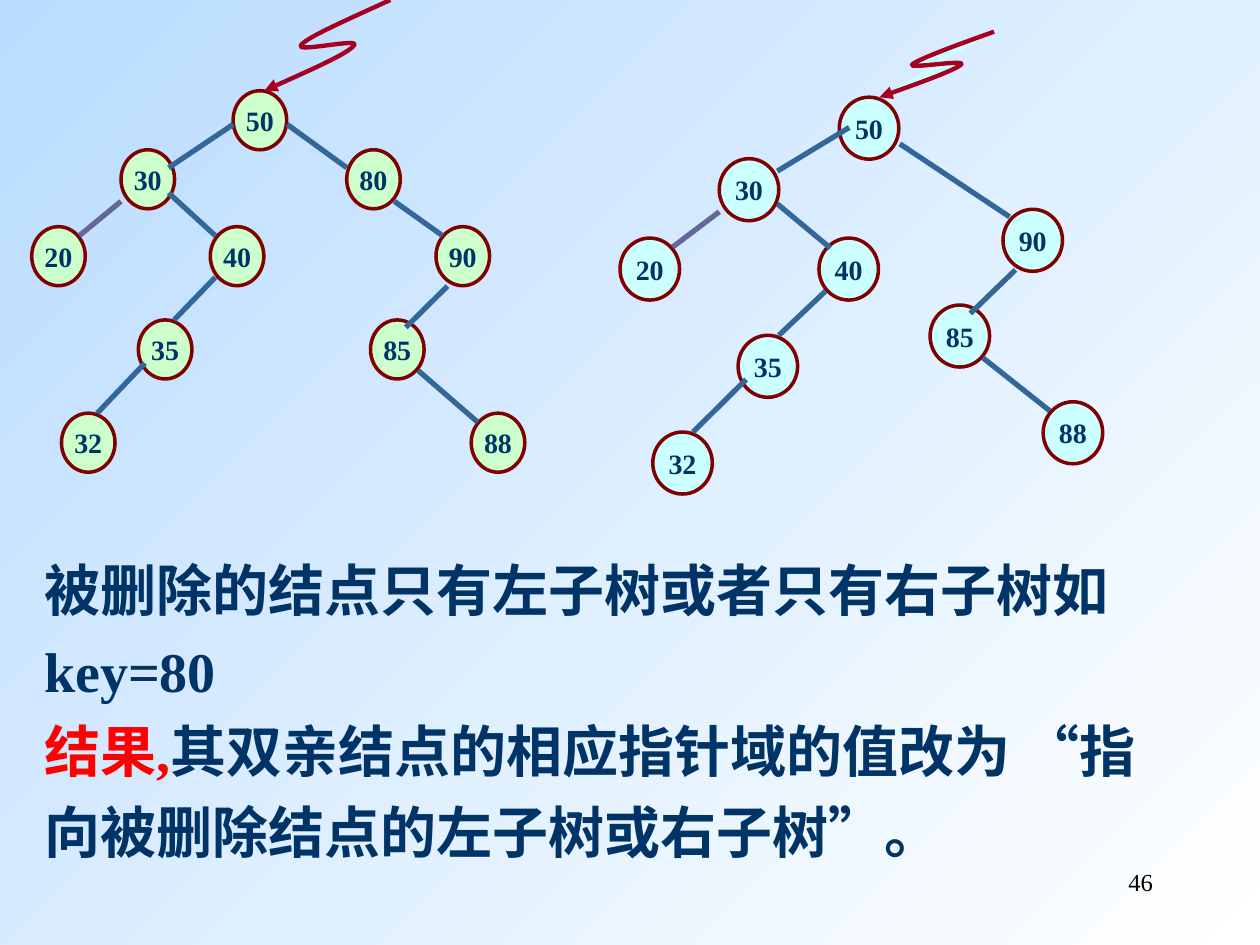
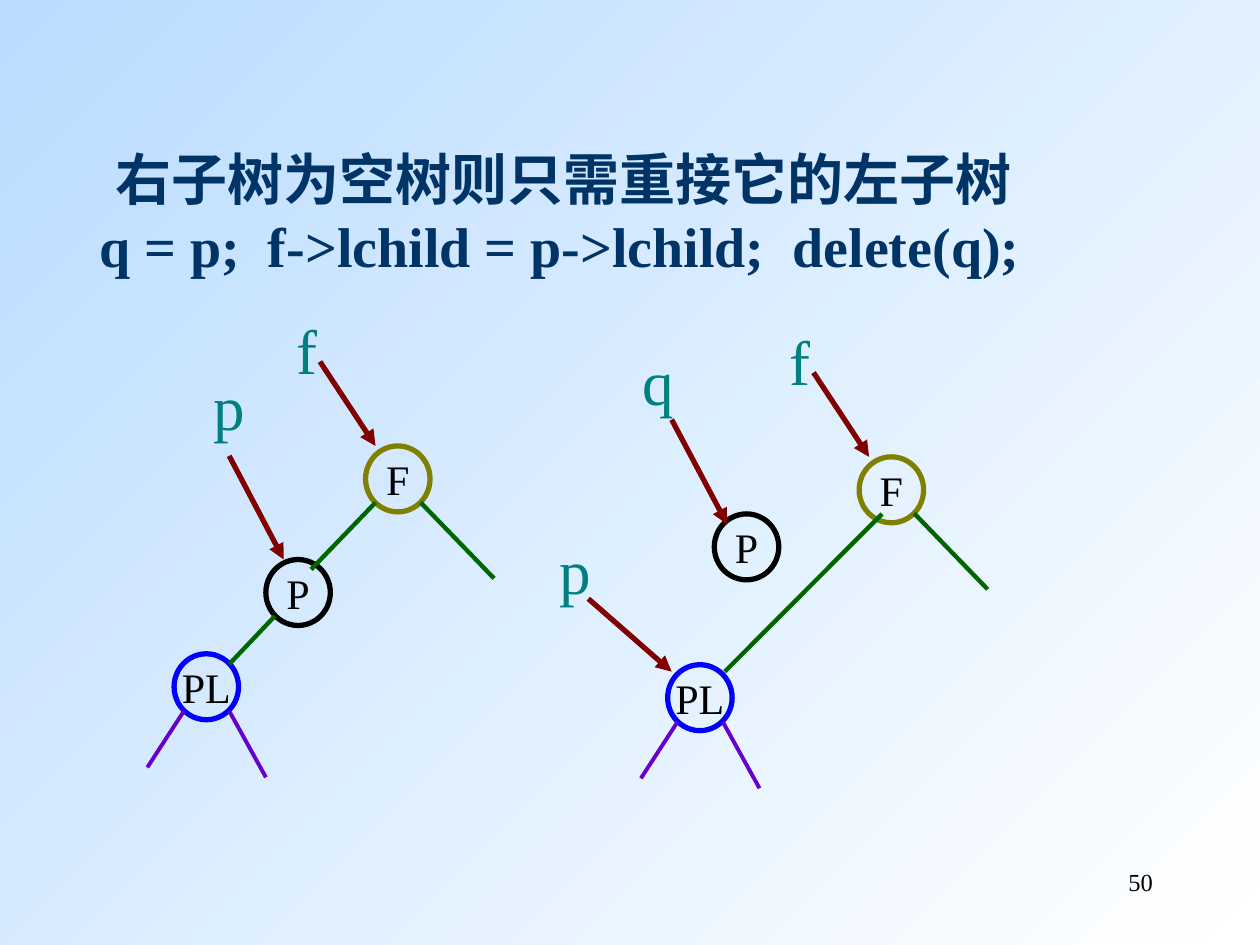
from dataclasses import dataclass
from typing import NamedTuple

import lxml.etree
import pptx
import pptx.dml.color
import pptx.enum.shapes
import pptx.enum.text
import pptx.oxml.ns
import pptx.util

Cm = pptx.util.Cm
Pt = pptx.util.Pt
qn = pptx.oxml.ns.qn
PP_ALIGN = pptx.enum.text.PP_ALIGN


@dataclass(frozen=True)
class Theme:
    font: str = "Times New Roman"
    bg_start: str = "B9DCFF"
    bg_end: str = "FFFFFF"
    navy: str = "003366"
    red: str = "FF0000"
    black: str = "000000"
    teal: str = "008080"
    maroon: str = "800000"
    crimson: str = "A50021"
    edge: str = "336699"
    edge_alt: str = "666699"
    green_fill: str = "CCFFCC"
    cyan_fill: str = "CCFFFF"
    olive: str = "808000"
    blue: str = "0000FF"
    branch: str = "006600"
    child: str = "6600CC"
    body: int = 32
    pointer: int = 36
    letter: int = 24
    key: int = 16
    number: int = 14


T = Theme()


class Point(NamedTuple):
    x: float
    y: float


class Edge(NamedTuple):
    x1: float
    y1: float
    x2: float
    y2: float
    color: str = T.edge


class Box(NamedTuple):
    x: float
    y: float
    w: float
    h: float


@dataclass(frozen=True)
class Tree:
    fill: str
    node_size: tuple[float, float]
    nodes: dict[str, Point]
    edges: list[Edge]
    squiggle: list[Point]
    squiggle_fill: str | None = None


BEFORE = Tree(
    fill=T.green_fill,
    node_size=(1.08, 1.19),
    nodes={
        "50": Point(4.7, 1.83), "30": Point(2.44, 3.02), "80": Point(6.99, 3.02),
        "20": Point(0.64, 4.57), "40": Point(4.24, 4.57), "90": Point(8.79, 4.57),
        "35": Point(2.79, 6.45), "85": Point(7.47, 6.45),
        "32": Point(1.24, 8.33), "88": Point(9.5, 8.33),
    },
    edges=[
        Edge(4.7, 2.51, 3.4, 3.38), Edge(5.79, 2.51, 6.99, 3.38),
        Edge(2.44, 4.06, 1.6, 4.75, T.edge_alt), Edge(3.4, 3.89, 4.34, 4.75),
        Edge(7.95, 4.06, 8.92, 4.75), Edge(4.34, 5.59, 3.51, 6.45),
        Edge(9.02, 5.77, 8.18, 6.6), Edge(2.92, 7.32, 1.96, 8.33),
        Edge(8.43, 7.47, 9.63, 8.51),
    ],
    squiggle=[
        Point(7.87, 0), Point(7.04, 0.38), Point(6.17, 0.76), Point(6.07, 0.91),
        Point(5.94, 1.07), Point(7.26, 0.76), Point(7.14, 0.91),
        Point(7.04, 1.07), Point(6.17, 1.45), Point(5.33, 1.83),
    ],
)

AFTER = Tree(
    fill=T.cyan_fill,
    node_size=(1.2, 1.25),
    nodes={
        "50": Point(16.92, 1.96), "30": Point(14.5, 3.2), "90": Point(20.22, 4.22),
        "20": Point(12.5, 4.8), "40": Point(16.51, 4.8), "85": Point(18.75, 6.15),
        "35": Point(14.88, 6.76), "88": Point(21.03, 8.1), "32": Point(13.16, 8.71),
    },
    edges=[
        Edge(17.12, 2.57, 15.67, 3.45), Edge(18.14, 2.9, 20.35, 4.37),
        Edge(14.5, 4.27, 13.56, 4.98, T.edge_alt), Edge(15.67, 4.11, 16.74, 5),
        Edge(20.47, 5.44, 19.56, 6.32), Edge(16.64, 5.87, 15.7, 6.76),
        Edge(19.81, 7.21, 21.16, 8.28), Edge(15.04, 7.65, 13.97, 8.71),
    ],
    squiggle=[
        Point(20.04, 0.64), Point(19.28, 0.91), Point(18.52, 1.19), Point(18.39, 1.3),
        Point(18.29, 1.4), Point(19.48, 1.19), Point(19.38, 1.3),
        Point(19.28, 1.4), Point(18.52, 1.68), Point(17.73, 1.96),
    ],
    squiggle_fill=T.cyan_fill,
)


def rgb(color: str) -> pptx.dml.color.RGBColor:
    return pptx.dml.color.RGBColor.from_string(color)


def set_font(font, size: int, color: str, bold: bool = False) -> None:
    font.name = T.font
    font.size = Pt(size)
    font.bold = bold
    font.color.rgb = rgb(color)


def set_outline(shape, color: str, width: float, arrow: bool = False) -> None:
    shape.line.color.rgb = rgb(color)
    shape.line.width = Pt(width)
    if arrow:
        ln = shape._element.spPr.find(qn("a:ln"))
        lxml.etree.SubElement(ln, qn("a:tailEnd"), type="triangle")


def set_fill(shape, color: str | None) -> None:
    if color:
        shape.fill.solid()
        shape.fill.fore_color.rgb = rgb(color)
    else:
        shape.fill.background()


def add_line(s, edge: Edge, width: float, arrow: bool = False) -> None:
    cxn = s.shapes.add_connector(
        pptx.enum.shapes.MSO_CONNECTOR.STRAIGHT, *(Cm(v) for v in edge[:4]))
    set_outline(cxn, edge.color, width, arrow)
    lxml.etree.SubElement(cxn._element.spPr, qn("a:effectLst"))


def add_node(s, box: Box, label: str, size: int, color: str, line: str,
             width: float, fill: str | None = None, bold: bool = False) -> None:
    sp = s.shapes.add_shape(
        pptx.enum.shapes.MSO_SHAPE.OVAL, *(Cm(v) for v in box))
    sp.shadow.inherit = False
    set_fill(sp, fill)
    set_outline(sp, line, width)
    tf = sp.text_frame
    tf.word_wrap = False
    tf.vertical_anchor = pptx.enum.text.MSO_ANCHOR.MIDDLE
    p = tf.paragraphs[0]
    p.text = label
    p.alignment = PP_ALIGN.CENTER
    set_font(p.font, size, color, bold)


def add_text_frame(s, box: Box, wrap: bool = True):
    tf = s.shapes.add_textbox(*(Cm(v) for v in box)).text_frame
    tf.word_wrap = wrap
    return tf


def add_squiggle(s, points: list[Point], fill: str | None) -> None:
    """Draw a cubic Bezier arrow; after the start, points come in threes."""
    scaled = [(Cm(pt.x), Cm(pt.y)) for pt in points]
    builder = s.shapes.build_freeform(*scaled[0])
    builder.add_line_segments(scaled[1:], close=False)
    sp = builder.convert_to_shape()
    outline = next(sp._element.iter(qn("a:path")))
    segments = outline.findall(qn("a:lnTo"))
    for i in range(0, len(segments), 3):
        curve = lxml.etree.SubElement(outline, qn("a:cubicBezTo"))
        for segment in segments[i:i + 3]:
            curve.append(segment[0])
            outline.remove(segment)
    sp.shadow.inherit = False
    set_fill(sp, fill)
    set_outline(sp, T.crimson, 2.5, arrow=True)


def draw_tree(s, tree: Tree) -> None:
    for key, pt in tree.nodes.items():
        add_node(s, Box(*pt, *tree.node_size), key, T.key, T.navy,
                 T.maroon, 2, tree.fill, bold=True)
    for edge in tree.edges:
        add_line(s, edge, 3)
    add_squiggle(s, tree.squiggle, tree.squiggle_fill)


def add_letter_node(s, x: float, y: float, label: str, line: str) -> None:
    add_node(s, Box(x, y, 1.3, 1.33), label, T.letter, T.black, line, 3)


def add_pointer(s, name: str, label_at: Point, arrow: Edge) -> None:
    """Draw a pointer variable's name and its arrow."""
    p = add_text_frame(s, Box(*label_at, 1.14, 1.78), wrap=False).paragraphs[0]
    p.text = name
    set_font(p.font, T.pointer, T.teal)
    add_line(s, arrow, 3, arrow=True)


def draw_family(s, dx: float, dy: float) -> None:
    """Draw what both states share: F, PL, their open branches and pointer f."""
    def moved(x1: float, y1: float, x2: float, y2: float, color: str) -> Edge:
        return Edge(x1 + dx, y1 + dy, x2 + dx, y2 + dy, color)

    add_letter_node(s, 7.37 + dx, 8.99 + dy, "F", T.olive)
    add_letter_node(s, 3.51 + dx, 13.18 + dy, "PL", T.blue)
    add_line(s, moved(3.71, 14.33, 2.97, 15.47, T.child), 2.25)
    add_line(s, moved(4.62, 14.33, 5.36, 15.67, T.child), 2.25)
    add_line(s, moved(8.48, 10.13, 9.96, 11.66, T.branch), 2.5)
    add_pointer(s, "f", Point(5.72 + dx, 6.15 + dy),
                moved(6.45, 7.29, 7.57, 8.99, T.maroon))


def add_slide(prs, number: str):
    s = prs.slides.add_slide(prs.slide_layouts[6])
    p = add_text_frame(s, Box(18.21, 17.35, 5.28, 1.27)).paragraphs[0]
    p.text = number
    p.alignment = PP_ALIGN.RIGHT
    set_font(p.font, T.number, T.black)
    return s


def set_background(prs) -> None:
    fill = prs.slide_master.background.fill
    fill.gradient()
    fill.gradient_angle = 315
    for stop, color in zip(fill.gradient_stops, (T.bg_start, T.bg_end)):
        stop.color.rgb = rgb(color)


def build_single_subtree_slide(prs) -> None:
    s = add_slide(prs, "46")
    tf = add_text_frame(s, Box(0.64, 10.8, 23.5, 6.76))
    p = tf.paragraphs[0]
    p.text = "被删除的结点只有左子树或者只有右子树如key=80"
    p.line_spacing = 1.2
    set_font(p.font, T.body, T.navy, bold=True)
    p = tf.add_paragraph()
    p.line_spacing = 1.2
    for text, color in (
        ("结果,", T.red),
        ("其双亲结点的相应指针域的值改为 “指向被删除结点的左子树或右子树”。", T.navy),
    ):
        r = p.add_run()
        r.text = text
        set_font(r.font, T.body, color, bold=True)
    draw_tree(s, AFTER)
    draw_tree(s, BEFORE)


def build_relink_slide(prs) -> None:
    s = add_slide(prs, "50")
    tf = add_text_frame(s, Box(1.75, 2.11, 19.35, 3.91), wrap=False)
    heading = tf.paragraphs[0]
    heading.text = "右子树为空树则只需重接它的左子树"
    heading.line_spacing = 1.5
    heading._p.get_or_add_pPr().set("indent", str(Cm(0.32)))
    code = tf.add_paragraph()
    code.text = "q = p;  f->lchild = p->lchild;  delete(q);"
    for p in (heading, code):
        set_font(p.font, T.body, T.navy, bold=True)

    draw_family(s, 0, 0)
    add_letter_node(s, 5.36, 11.28, "P", T.black)
    add_line(s, Edge(5.54, 12.42, 4.62, 13.39, T.branch), 2.5)
    add_line(s, Edge(7.57, 10.13, 6.27, 11.48, T.branch), 2.5)
    add_pointer(s, "p", Point(4.06, 7.29), Edge(4.62, 9.19, 5.72, 11.28, T.maroon))

    draw_family(s, 9.95, 0.22)
    add_letter_node(s, 14.4, 10.36, "P", T.black)
    add_line(s, Edge(17.78, 10.36, 14.61, 13.54, T.branch), 2.5)
    add_pointer(s, "q", Point(12.7, 6.78), Edge(13.54, 8.46, 14.66, 10.57, T.maroon))
    add_pointer(s, "p", Point(11.02, 10.59), Edge(11.86, 12.07, 13.54, 13.54, T.maroon))


def main() -> None:
    prs = pptx.Presentation()
    prs.slide_width = Cm(25.4)
    prs.slide_height = Cm(19.05)
    set_background(prs)
    build_single_subtree_slide(prs)
    build_relink_slide(prs)
    prs.save("out.pptx")


if __name__ == "__main__":
    main()
